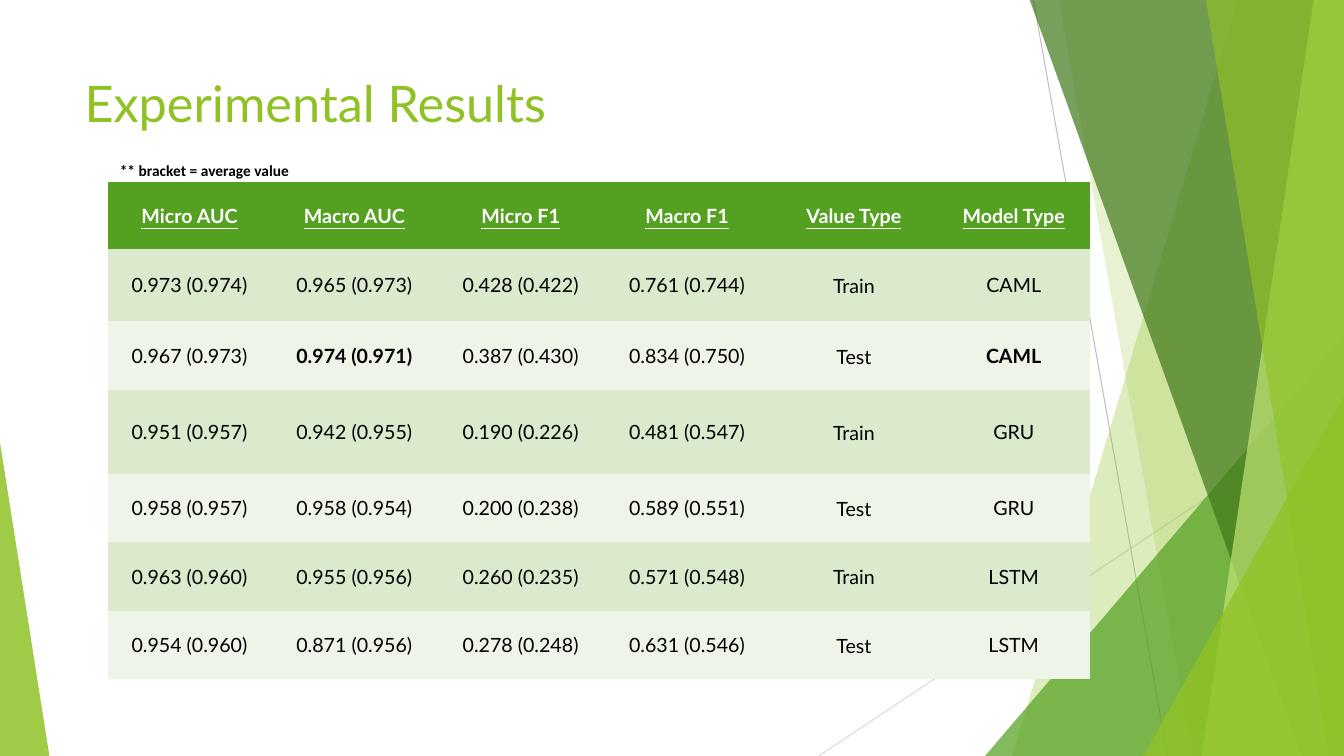
import pptx
import pptx.dml.color
import pptx.enum.shapes
import pptx.enum.text
import pptx.oxml
import pptx.oxml.ns
import pptx.util
from pptx.util import Inches

RGBColor = pptx.dml.color.RGBColor
ALIGN = pptx.enum.text.PP_ALIGN
ANCHOR = pptx.enum.text.MSO_ANCHOR
qn = pptx.oxml.ns.qn

LIME = RGBColor(0x90, 0xC2, 0x26)
GREEN = RGBColor(0x54, 0xA0, 0x21)
FOREST = RGBColor(0x3F, 0x78, 0x19)
PALE_LIME = RGBColor(0xC0, 0xE4, 0x74)
BAND_DARK = RGBColor(0xDB, 0xE9, 0xCD)
BAND_LIGHT = RGBColor(0xEE, 0xF4, 0xE8)
GRAY = RGBColor(0xBF, 0xBF, 0xBF)
LIGHT_GRAY = RGBColor(0xD9, 0xD9, 0xD9)
BLACK = RGBColor(0, 0, 0)
WHITE = RGBColor(0xFF, 0xFF, 0xFF)

WIDTH, HEIGHT = 13.33, 7.5
NO_STYLE = "{2D5ABB26-0587-4C30-8999-92F81FD0307C}"

COLUMN_WIDTHS = [1.62, 1.65, 1.65, 1.65, 1.66, 1.51]
ROW_HEIGHTS = [0.66, 0.72, 0.68, 0.83, 0.68, 0.68, 0.68]
RESULTS = [
    ["Micro AUC", "Macro AUC", "Micro F1", "Macro F1", "Value Type", "Model Type"],
    ["0.973 (0.974)", "0.965 (0.973)", "0.428 (0.422)", "0.761 (0.744)", "Train", "CAML"],
    ["0.967 (0.973)", "0.974 (0.971)", "0.387 (0.430)", "0.834 (0.750)", "Test", "CAML"],
    ["0.951 (0.957)", "0.942 (0.955)", "0.190 (0.226)", "0.481 (0.547)", "Train", "GRU"],
    ["0.958 (0.957)", "0.958 (0.954)", "0.200 (0.238)", "0.589 (0.551)", "Test", "GRU"],
    ["0.963 (0.960)", "0.955 (0.956)", "0.260 (0.235)", "0.571 (0.548)", "Train", "LSTM"],
    ["0.954 (0.960)", "0.871 (0.956)", "0.278 (0.248)", "0.631 (0.546)", "Test", "LSTM"],
]
BEST_CELLS = {(2, 1), (2, 5)}
VALUE_TYPE = 4


class SlideBuilder:
    """Draws styled elements on the current slide."""

    def __init__(self, page, font="Lato"):
        self.page = page
        self.font = font

    def line(self, start, end, color):
        connector = self.page.shapes.add_connector(
            pptx.enum.shapes.MSO_CONNECTOR.STRAIGHT,
            *(Inches(value) for value in start + end))
        connector.line.color.rgb = color
        connector.line.width = pptx.util.Pt(0.75)
        connector.element.spPr.append(pptx.oxml.parse_xml(
            f"<a:effectLst {pptx.oxml.ns.nsdecls('a')}/>"))

    def paint(self, shape, color, opacity):
        shape.shadow.inherit = False
        shape.line.fill.background()
        shape.fill.solid()
        shape.fill.fore_color.rgb = color
        tint = shape.element.spPr.find(".//" + qn("a:srgbClr"))
        alpha = tint.makeelement(qn("a:alpha"), {"val": str(opacity * 1000)})
        tint.append(alpha)

    def blade(self, top_left, bottom_left, color, opacity):
        corners = [(top_left, -0.01), (WIDTH, -0.01), (WIDTH, HEIGHT), (bottom_left, HEIGHT)]
        points = [(Inches(x), Inches(y)) for x, y in corners]
        outline = self.page.shapes.build_freeform(*points[0])
        outline.add_line_segments(points[1:], close=True)
        self.paint(outline.convert_to_shape(), color, opacity)

    def triangle(self, left, top, width, apex, color, opacity):
        shape = self.page.shapes.add_shape(
            pptx.enum.shapes.MSO_SHAPE.ISOSCELES_TRIANGLE,
            Inches(left), Inches(top), Inches(width), Inches(HEIGHT - top))
        shape.adjustments[0] = apex
        self.paint(shape, color, opacity)

    def style(self, para, size, color, font=None, bold=False, underline=False):
        para.font.name = font or self.font
        para.font.size = pptx.util.Pt(size)
        para.font.color.rgb = color
        para.font.bold = bold
        para.font.underline = underline

    def text(self, words, left, top, width, height, size, color,
             anchor=ANCHOR.TOP, wrap=True, font=None, bold=False):
        box = self.page.shapes.add_textbox(
            Inches(left), Inches(top), Inches(width), Inches(height))
        frame = box.text_frame
        frame.word_wrap = wrap
        frame.vertical_anchor = anchor
        frame.text = words
        self.style(frame.paragraphs[0], size, color, font, bold)

    def table(self, left, top):
        frame = self.page.shapes.add_table(
            len(ROW_HEIGHTS), len(COLUMN_WIDTHS), Inches(left), Inches(top),
            Inches(sum(COLUMN_WIDTHS)), Inches(sum(ROW_HEIGHTS)))
        frame.element.find(".//" + qn("a:tableStyleId")).text = NO_STYLE
        table = frame.table
        for column, width in zip(table.columns, COLUMN_WIDTHS):
            column.width = Inches(width)
        for row, height in zip(table.rows, ROW_HEIGHTS):
            row.height = Inches(height)
        for r, values in enumerate(RESULTS):
            for c, value in enumerate(values):
                self.cell(table.cell(r, c), value, r, c)

    def cell(self, cell, value, row, column):
        header = row == 0
        cell.text = value
        cell.vertical_anchor = ANCHOR.MIDDLE
        cell.margin_left = cell.margin_right = Inches(0.07)
        cell.margin_top = cell.margin_bottom = 0
        cell.fill.solid()
        cell.fill.fore_color.rgb = GREEN if header else BAND_DARK if row % 2 else BAND_LIGHT
        para = cell.text_frame.paragraphs[0]
        para.alignment = ALIGN.CENTER
        if column == VALUE_TYPE and not header:
            para.line_spacing = 1.07
        self.style(para, 14, WHITE if header else BLACK,
                   bold=header or (row, column) in BEST_CELLS, underline=header)


def main():
    deck = pptx.Presentation()
    deck.slide_width, deck.slide_height = Inches(WIDTH), Inches(HEIGHT)
    builder = SlideBuilder(deck.slides.add_slide(deck.slide_layouts[6]))

    builder.line((10.25, 0), (11.58, HEIGHT), GRAY)
    builder.line((WIDTH, 4.03), (8.12, HEIGHT), LIGHT_GRAY)
    builder.blade(12.28, 10.04, LIME, 30)
    builder.blade(10.5, 11.83, LIME, 20)
    builder.triangle(9.77, 3.33, 3.56, 1, GREEN, 72)
    builder.blade(10.21, 12.91, FOREST, 70)
    builder.blade(13.03, 11.92, PALE_LIME, 70)
    builder.blade(11.96, 13.18, LIME, 65)
    builder.triangle(11.34, 3.93, 1.99, 1, LIME, 80)
    builder.triangle(0, 4.39, 0.49, 0, LIME, 85)

    builder.text("Experimental Results", 0.74, 0.67, 9.4, 1.44, 36, LIME)
    builder.table(1.07, 1.81)
    builder.text("** bracket = average value", 1.09, 1.54, 1.91, 0.29, 11, BLACK,
                 anchor=ANCHOR.MIDDLE, wrap=False, font="Calibri", bold=True)
    deck.save("out.pptx")


if __name__ == "__main__":
    main()
